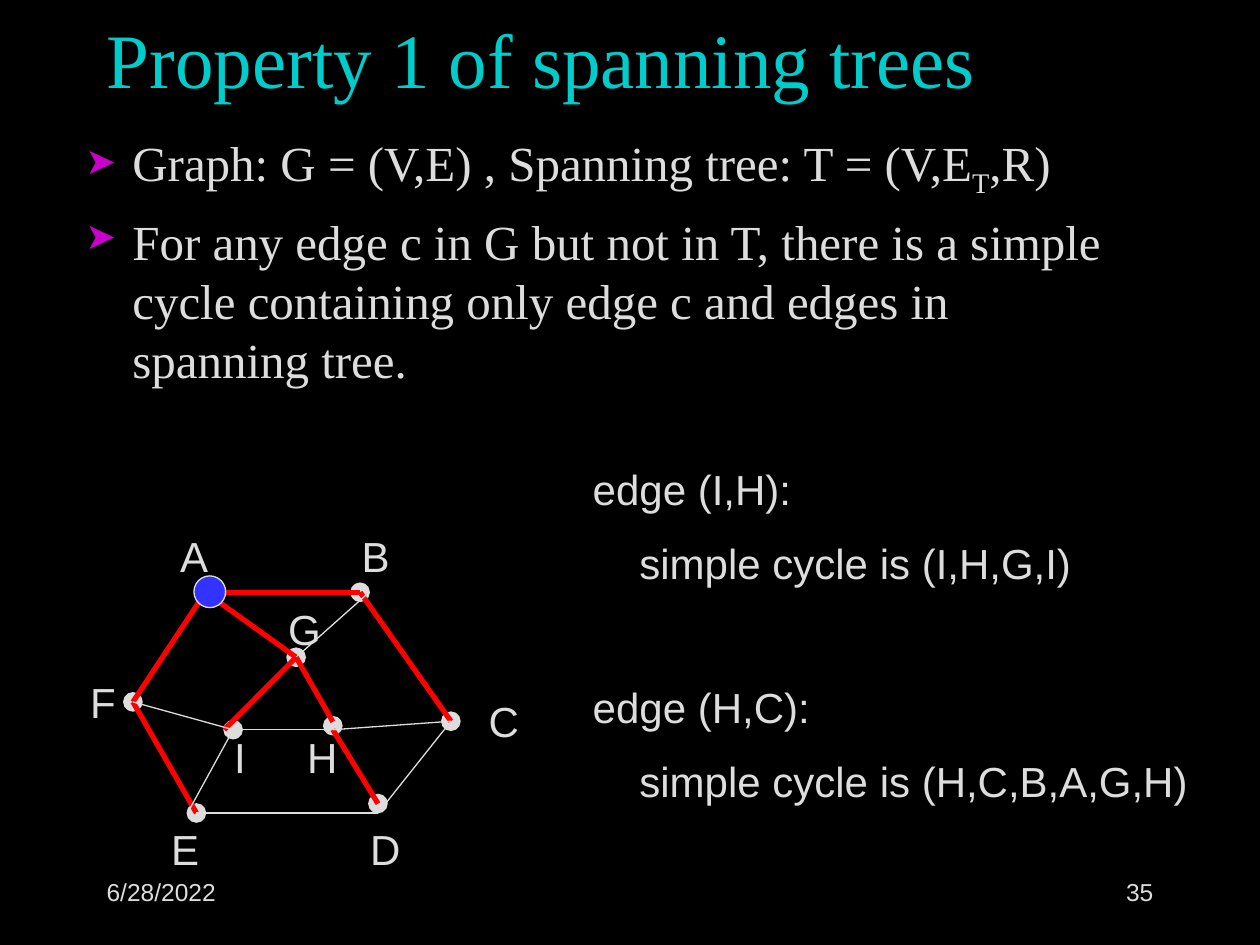
import lxml.etree
import pptx
import pptx.dml.color
import pptx.enum.shapes
import pptx.enum.text
import pptx.oxml
import pptx.oxml.ns
import pptx.util

Cm = pptx.util.Cm
Pt = pptx.util.Pt
RGBColor = pptx.dml.color.RGBColor
PP_ALIGN = pptx.enum.text.PP_ALIGN
MSO_ANCHOR = pptx.enum.text.MSO_ANCHOR
qn = pptx.oxml.ns.qn

BLACK = RGBColor(0x00, 0x00, 0x00)
CYAN = RGBColor(0x00, 0xCC, 0xCC)
MAGENTA = RGBColor(0xCC, 0x00, 0xCC)
GREY = RGBColor(0xDD, 0xDD, 0xDD)
RED = RGBColor(0xFF, 0x00, 0x00)
BLUE = RGBColor(0x33, 0x33, 0xFF)


def add_run(paragraph, text, size, font="Arial", color=GREY):
    run = paragraph.add_run()
    run.text = text
    run.font.name = font
    run.font.size = Pt(size)
    run.font.color.rgb = color
    return run


def add_vertex(center, diameter, fill):
    x, y = center
    vertex = slide.shapes.add_shape(
        pptx.enum.shapes.MSO_SHAPE.OVAL,
        Cm(x - diameter / 2), Cm(y - diameter / 2), Cm(diameter), Cm(diameter))
    vertex.shadow.inherit = False
    vertex.fill.solid()
    vertex.fill.fore_color.rgb = fill
    vertex.line.color.rgb = GREY
    vertex.line.width = Pt(0.75)


prs = pptx.Presentation()
prs.slide_width, prs.slide_height = Cm(25.4), Cm(19.05)
slide = prs.slides.add_slide(prs.slide_layouts[5])
slide.background.fill.solid()
slide.background.fill.fore_color.rgb = BLACK

# Title
title = slide.shapes.title
title.left, title.top, title.width, title.height = Cm(1.9), Cm(-0.43), Cm(21.6), Cm(3.18)
title.text_frame.vertical_anchor = MSO_ANCHOR.MIDDLE
heading = title.text_frame.paragraphs[0]
heading.alignment = PP_ALIGN.LEFT
add_run(heading, "Property 1 of spanning trees", 44, "Times New Roman", CYAN)

# Statement of the property: each bullet is a list of (text, is subscript)
statements = [
    [("Graph: G = (V,E) , Spanning tree: T = (V,E", False), ("T", True), (",R)", False)],
    [("For any edge c in G but not in T, there is a simple cycle containing "
      "only edge c and edges in spanning tree.", False)],
]
statement_frame = slide.shapes.add_textbox(Cm(1.47), Cm(2.54), Cm(21.6), Cm(5.5)).text_frame
statement_frame.word_wrap = True
for index, pieces in enumerate(statements):
    bullet = statement_frame.paragraphs[0] if index == 0 else statement_frame.add_paragraph()
    properties = bullet._p.get_or_add_pPr()
    properties.set("marL", str(Cm(0.95)))
    properties.set("indent", str(Cm(-0.95)))
    bullet_color = lxml.etree.SubElement(properties, qn("a:buClr"))
    lxml.etree.SubElement(bullet_color, qn("a:srgbClr"), val=str(MAGENTA))
    lxml.etree.SubElement(properties, qn("a:buSzPct"), val="75000")
    lxml.etree.SubElement(properties, qn("a:buChar"), char="➤")
    if index:
        bullet.space_before = Pt(7)
    for text, is_subscript in pieces:
        run = add_run(bullet, text, 28, "Times New Roman")
        if is_subscript:
            run.font._element.set("baseline", "-25000")

# Graph: vertex centre, then left, top and width of its label, in cm
vertices = {
    "A": ((4.14, 11.94), (3.38, 10.57, 1.12)),
    "B": ((7.26, 11.94), (7.04, 10.57, 1.07)),
    "C": ((9.09, 14.54), (9.6, 13.89, 1.07)),
    "D": ((7.62, 16.2), (7.21, 16.48, 1.12)),
    "E": ((3.96, 16.39), (3.2, 16.48, 1.02)),
    "F": ((2.68, 14.15), (1.57, 13.51, 1)),
    "G": ((5.97, 13.25), (5.56, 12.04, 1.12)),
    "H": ((6.71, 14.63), (5.94, 14.63, 1.12)),
    "I": ((4.7, 14.71), (4.47, 14.63, 0.8)),
}
# Vertex pair, in spanning tree, shift of the second end in cm
edges = [
    ("AB", True, 0, 0), ("BC", True, 0, 0), ("AF", True, 0, 0), ("FE", True, 0, 0),
    ("ED", False, 0, 0.19), ("CD", False, 0, 0.19), ("AG", True, 0, 0),
    ("GB", False, 0.18, 0), ("GI", True, -0.18, 0), ("IH", False, 0, 0.08),
    ("GH", True, 0, -0.08), ("FI", False, 0, 0), ("IE", False, -0.18, 0),
    ("DH", True, 0, 0.08), ("CH", False, 0, 0.08),
]

for center, _ in vertices.values():
    add_vertex(center, 0.37, GREY)

for (start, end), in_tree, dx, dy in edges:
    start_x, start_y = vertices[start][0]
    end_x, end_y = vertices[end][0]
    edge = slide.shapes.add_connector(
        pptx.enum.shapes.MSO_CONNECTOR.STRAIGHT,
        Cm(start_x), Cm(start_y), Cm(end_x + dx), Cm(end_y + dy))
    edge.line.color.rgb = RED if in_tree else GREY
    edge.line.width = Pt(3 if in_tree else 0.75)
    lxml.etree.SubElement(edge._element.spPr, qn("a:effectLst"))

for name, (_, (left, top, width)) in vertices.items():
    label = slide.shapes.add_textbox(Cm(left), Cm(top), Cm(width), Cm(1.27))
    label.text_frame.word_wrap = False
    add_run(label.text_frame.paragraphs[0], name, 24)

add_vertex((4.23, 11.93), 0.64, BLUE)

# Example cycles: text, indent in cm, space before in points
examples = [
    ("edge (I,H):", 0, 0),
    ("simple cycle is (I,H,G,I)", 0.94, 13.2),
    ("edge (H,C):", 0, 54),
    ("simple cycle is (H,C,B,A,G,H)", 0.94, 13.2),
]
example_frame = slide.shapes.add_textbox(Cm(11.7), Cm(9.22), Cm(12.7), Cm(8.97)).text_frame
example_frame.word_wrap = True
for index, (text, indent, gap) in enumerate(examples):
    example = example_frame.paragraphs[0] if index == 0 else example_frame.add_paragraph()
    example._p.get_or_add_pPr().set("marL", str(Cm(indent)))
    example.space_before = Pt(gap)
    add_run(example, text, 24)

# Footer
for text, left, alignment in [("6/28/2022", 1.9, PP_ALIGN.LEFT), ("35", 18.2, PP_ALIGN.RIGHT)]:
    footer_frame = slide.shapes.add_textbox(Cm(left), Cm(17.35), Cm(5.3), Cm(1.27)).text_frame
    footer_frame.word_wrap = True
    footer_frame.vertical_anchor = MSO_ANCHOR.MIDDLE
    footer_frame.paragraphs[0].alignment = alignment
    add_run(footer_frame.paragraphs[0], text, 14)

prs.save("out.pptx")
